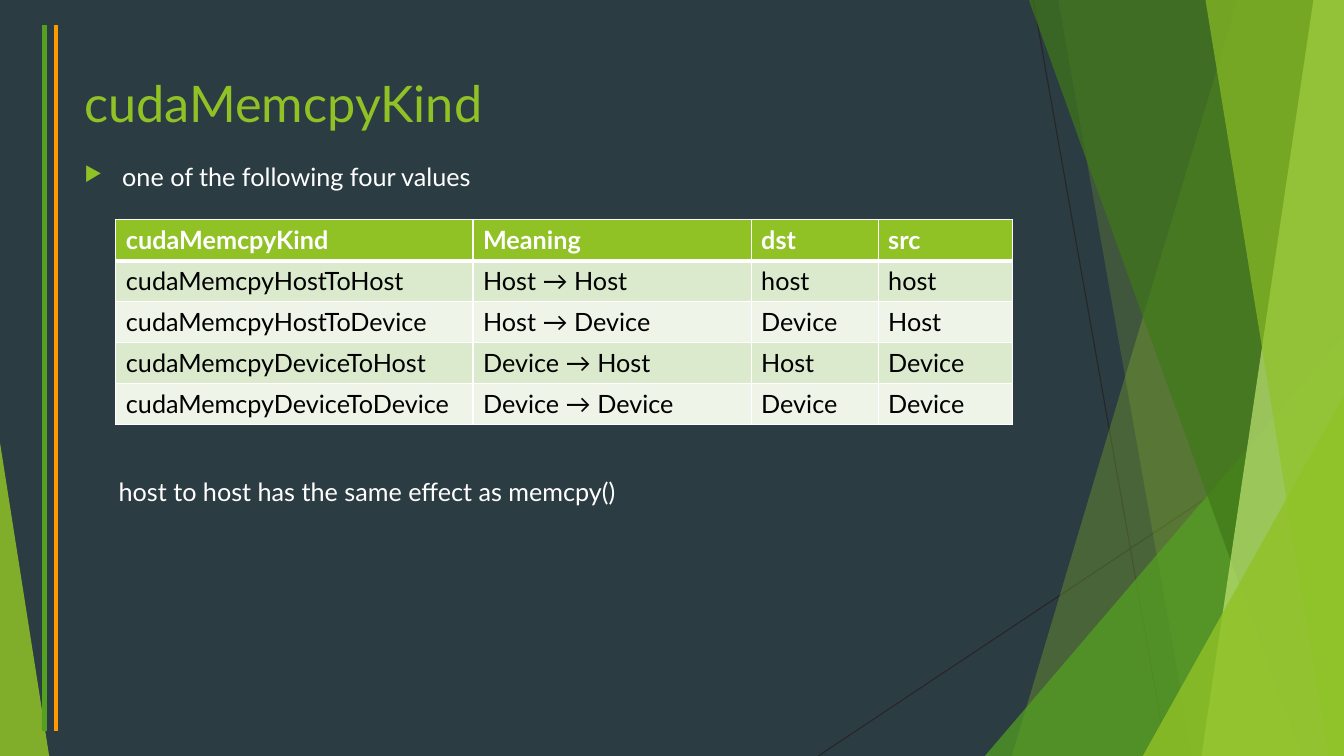
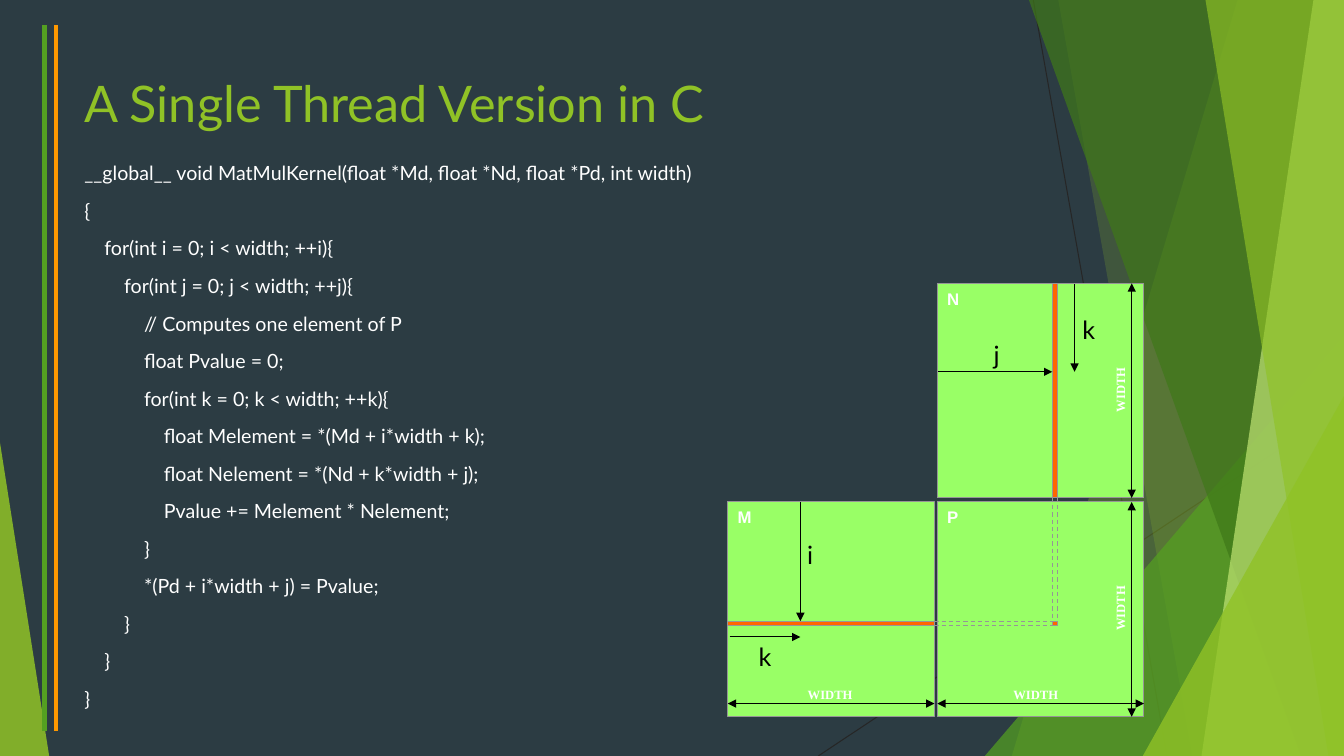
import pptx
import pptx.util
import pptx.dml.color
import pptx.enum.dml
import pptx.enum.shapes
import pptx.enum.text
import pptx.oxml.ns
import lxml.etree

Cm, Pt = pptx.util.Cm, pptx.util.Pt
SHAPE = pptx.enum.shapes.MSO_SHAPE
ALIGN = pptx.enum.text.PP_ALIGN
qn = pptx.oxml.ns.qn

# Shared look (lengths in cm)
WIDE, HIGH = 33.87, 19.05
HUE = dict(back="2C3C43", lime="90C226", green="54A021", dark="3F7819", pale="C0E474",
           orange="FF9900", ink="262626", white="FFFFFF", black="000000", odd="DBE9CD",
           even="EEF4E8", tile="99FF66", hot="FF6600", gray="969696")
FONT = "Lato"
RAYS = [(26.04, 0, 29.41, HIGH), (WIDE, 10.24, 20.62, HIGH)]
# shard: top x, bottom x; wedge: left, top, width, apex
DECOR = [
    ("shard", (31.19, 25.5), "lime", 30),
    ("shard", (26.67, 30.05), "lime", 20),
    ("wedge", (24.82, 8.46, 9.05, 1), "green", 72),
    ("shard", (25.93, 32.79), "dark", 70),
    ("shard", (33.1, 30.28), "pale", 70),
    ("shard", (30.38, 33.48), "lime", 65),
    ("wedge", (28.8, 9.98, 5.07, 1), "lime", 80),
    ("wedge", (0, 11.15, 1.24, 0), "lime", 85),
]
BARS = [(1.12, "green"), (1.42, "orange")]
TITLE = (1.88, 1.7, 23.88, 3.66)
BODY = (1.88, 3.94, 23.88, 12.85)

# Slide 1 content
POINT = "one of the following four values"
NOTE = "host to host has the same effect as memcpy()"
COLS = [9, 7.01, 3.2, 3.38]
ROW = 1.03
KINDS = [
    ("cudaMemcpyKind", "Meaning", "dst", "src"),
    ("cudaMemcpyHostToHost", "Host → Host", "host", "host"),
    ("cudaMemcpyHostToDevice", "Host → Device", "Device", "Host"),
    ("cudaMemcpyDeviceToHost", "Device → Host", "Host", "Device"),
    ("cudaMemcpyDeviceToDevice", "Device → Device", "Device", "Device"),
]

# Slide 2 content: indent level, code
CODE = [
    (0, "__global__ void MatMulKernel(float *Md, float *Nd, float *Pd, int width)"),
    (0, "{"),
    (1, "for(int i = 0; i < width; ++i){"),
    (2, "for(int j = 0; j < width; ++j){"),
    (3, "// Computes one element of P"),
    (3, "float Pvalue = 0;"),
    (3, "for(int k = 0; k < width; ++k){"),
    (4, "float Melement = *(Md + i*width + k);"),
    (4, "float Nelement = *(Nd + k*width + j);"),
    (4, "Pvalue += Melement * Nelement;"),
    (3, "}"),
    (3, "*(Pd + i*width + j) = Pvalue;"),
    (2, "}"),
    (1, "}"),
    (0, "}"),
]
STEP = 0.5

# Matrix diagram
TW, TH = 5.21, 5.41
LEFT, RIGHT, UPPER, LOWER = 18.34, 23.62, 7.14, 12.65
TILES = [("M", LEFT, LOWER), ("N", RIGHT, UPPER), ("P", RIGHT, LOWER)]
COL, LINE, THICK = 26.52, 15.65, 0.12
SPANX, SPANY = 28.52, 17.73
# label centre and turn
WIDTHS = [(28.23, 9.82, 270), (28.23, 15.33, 270), (20.92, 17.51, 0), (26.1, 17.5, 0)]
# name, arrow, label left, top, width
STEPS = [
    ("i", (20.17, LOWER, 20.17, LINE), (20.09, 13.46, 0.69)),
    ("k", (18.39, 16.05, 20.17, 16.05), (18.87, 16.03, 0.84)),
    ("k", (27.08, 7.16, 27.08, 9.37), (27.03, 7.8, 0.84)),
    ("j", (23.65, 9.37, COL, 9.37), (24.79, 8.43, 0.74)),
]


def rgb(hue):
    return pptx.dml.color.RGBColor.from_string(HUE[hue])


def add_tag(node, tag, **attrs):
    return lxml.etree.SubElement(node, qn(tag), attrs)


def paint(shape, hue, alpha=100, edge=None):
    shape.shadow.inherit = False
    shape.fill.solid()
    shape.fill.fore_color.rgb = rgb(hue)
    if alpha < 100:
        color = shape.fill._xPr.find(qn("a:solidFill"))[0]
        add_tag(color, "a:alpha", val=str(alpha * 1000))
    if edge:
        shape.line.color.rgb = rgb(edge)
        shape.line.width = Pt(0.75)
    else:
        shape.line.fill.background()


def add_rect(slide, area, hue):
    shape = slide.shapes.add_shape(SHAPE.RECTANGLE, *map(Cm, area))
    paint(shape, hue, edge="gray")
    return shape


def add_line(slide, ends, hue, size=0.75, dash=False, heads=()):
    line = slide.shapes.add_connector(pptx.enum.shapes.MSO_CONNECTOR.STRAIGHT, *map(Cm, ends))
    line.line.color.rgb = rgb(hue)
    line.line.width = Pt(size)
    if dash:
        line.line.dash_style = pptx.enum.dml.MSO_LINE.DASH
    for head in heads:
        add_tag(line.line._ln, head, type="triangle")
    add_tag(line._element.spPr, "a:effectLst")


def add_run(para, text, size, hue="white", font=FONT, bold=False):
    run = para.add_run()
    run.text = text
    run.font.size, run.font.name, run.font.bold = Pt(size), font, bold
    run.font.color.rgb = rgb(hue)


def add_box(slide, area, wrap=True):
    box = slide.shapes.add_textbox(*map(Cm, area))
    box.text_frame.word_wrap = wrap
    return box


def first(shape):
    return shape.text_frame.paragraphs[0]


def add_decor(slide):
    for ray in RAYS:
        add_line(slide, ray, "ink")
    for kind, place, hue, alpha in DECOR:
        if kind == "shard":
            top, base = place
            pen = slide.shapes.build_freeform(Cm(top), 0)
            spots = [(WIDE, 0), (WIDE, HIGH), (base, HIGH)]
            pen.add_line_segments([(Cm(x), Cm(y)) for x, y in spots])
            shape = pen.convert_to_shape()
        else:
            left, top, width, apex = place
            shape = slide.shapes.add_shape(
                SHAPE.ISOSCELES_TRIANGLE, Cm(left), Cm(top), Cm(width), Cm(HIGH - top))
            shape.adjustments[0] = apex
        paint(shape, hue, alpha)
    for x, hue in BARS:
        add_line(slide, (x, 0.64, x, 18.41), hue, 3)


def start(deck, title):
    slide = deck.slides.add_slide(deck.slide_layouts[6])
    slide.background.fill.solid()
    slide.background.fill.fore_color.rgb = rgb("back")
    add_decor(slide)
    add_run(first(add_box(slide, TITLE)), title, 36, "lime")
    return slide


def set_edges(cell, top, base):
    props = cell._tc.get_or_add_tcPr()
    for spot, (tag, size) in enumerate([("a:lnL", 1), ("a:lnR", 1), ("a:lnT", top), ("a:lnB", base)]):
        edge = add_tag(props, tag, w=str(Pt(size)))
        add_tag(add_tag(edge, "a:solidFill"), "a:srgbClr", val=HUE["white"])
        props.insert(spot, edge)


def add_grid(slide):
    area = (2.92, 5.54, sum(COLS), ROW * len(KINDS))
    grid = slide.shapes.add_table(len(KINDS), len(COLS), *map(Cm, area)).table
    for col, width in zip(grid.columns, COLS):
        col.width = Cm(width)
    for r, texts in enumerate(KINDS):
        grid.rows[r].height = Cm(ROW)
        head = r == 0
        for c, text in enumerate(texts):
            cell = grid.cell(r, c)
            cell.fill.solid()
            cell.fill.fore_color.rgb = rgb("lime" if head else "odd" if r % 2 else "even")
            add_run(first(cell), text, 18, "white" if head else "black", bold=head)
            set_edges(cell, 3 if r == 1 else 1, 3 if head else 1)


def add_kinds(deck):
    slide = start(deck, "cudaMemcpyKind")
    para = first(add_box(slide, BODY))
    para.space_before = Pt(10)
    props = para._p.get_or_add_pPr()
    props.set("marL", str(Cm(0.95)))
    props.set("indent", str(-Cm(0.95)))
    add_tag(add_tag(props, "a:buClr"), "a:srgbClr", val=HUE["lime"])
    add_tag(props, "a:buSzPct", val="80000")
    add_tag(props, "a:buChar", char="▶")
    add_run(para, POINT, 18)
    add_grid(slide)
    add_run(first(add_box(slide, (2.74, 11.89, 13.87, 1.02), wrap=False)), NOTE, 18)


def add_tiles(slide):
    for name, x, y in TILES:
        tile = add_rect(slide, (x, y, TW, TH), "tile")
        tile.text_frame.vertical_anchor = pptx.enum.text.MSO_ANCHOR.TOP
        first(tile).alignment = ALIGN.LEFT
        add_run(first(tile), name, 12, font="Arial", bold=True)
    # Chosen column, row and element
    for area in [(COL, UPPER, THICK, TH), (LEFT, LINE, TW, THICK), (COL, LINE, THICK, THICK)]:
        add_rect(slide, area, "hot")
    for gap in (0, THICK):
        add_line(slide, (COL + gap, UPPER + TH, COL + gap, LINE), "gray", dash=True)
        add_line(slide, (LEFT + TW, LINE + gap, COL, LINE + gap), "gray", dash=True)


def add_spans(slide):
    spans = [(x + TW, SPANY, x, SPANY) for x in (LEFT, RIGHT)]
    spans += [(SPANX, y + TH, SPANX, y) for y in (UPPER, LOWER)]
    for span in spans:
        add_line(slide, span, "black", 0.5, heads=("a:headEnd", "a:tailEnd"))
    for x, y, turn in WIDTHS:
        box = add_box(slide, (x - 0.57, y - 0.19, 1.14, 0.38), wrap=False)
        box.rotation = turn
        frame = box.text_frame
        frame.margin_left = frame.margin_right = frame.margin_top = frame.margin_bottom = 0
        first(box).alignment = ALIGN.CENTER
        add_run(first(box), "WIDTH", 9, font="Times New Roman", bold=True)


def add_code(deck):
    slide = start(deck, "A Single Thread Version in C")
    frame = add_box(slide, BODY).text_frame
    for n, (level, text) in enumerate(CODE):
        para = frame.add_paragraph() if n else frame.paragraphs[0]
        para.space_before = Pt(10)
        para._p.get_or_add_pPr().set("marL", str(Cm(level * STEP)))
        add_run(para, text, 14)
    add_tiles(slide)
    add_spans(slide)
    for name, ends, (x, y, width) in STEPS:
        add_line(slide, ends, "black", heads=("a:tailEnd",))
        add_run(first(add_box(slide, (x, y, width, 1.03), wrap=False)), name, 18, "black")


def main():
    deck = pptx.Presentation()
    deck.slide_width, deck.slide_height = Cm(WIDE), Cm(HIGH)
    add_kinds(deck)
    add_code(deck)
    deck.save("out.pptx")


if __name__ == "__main__":
    main()
